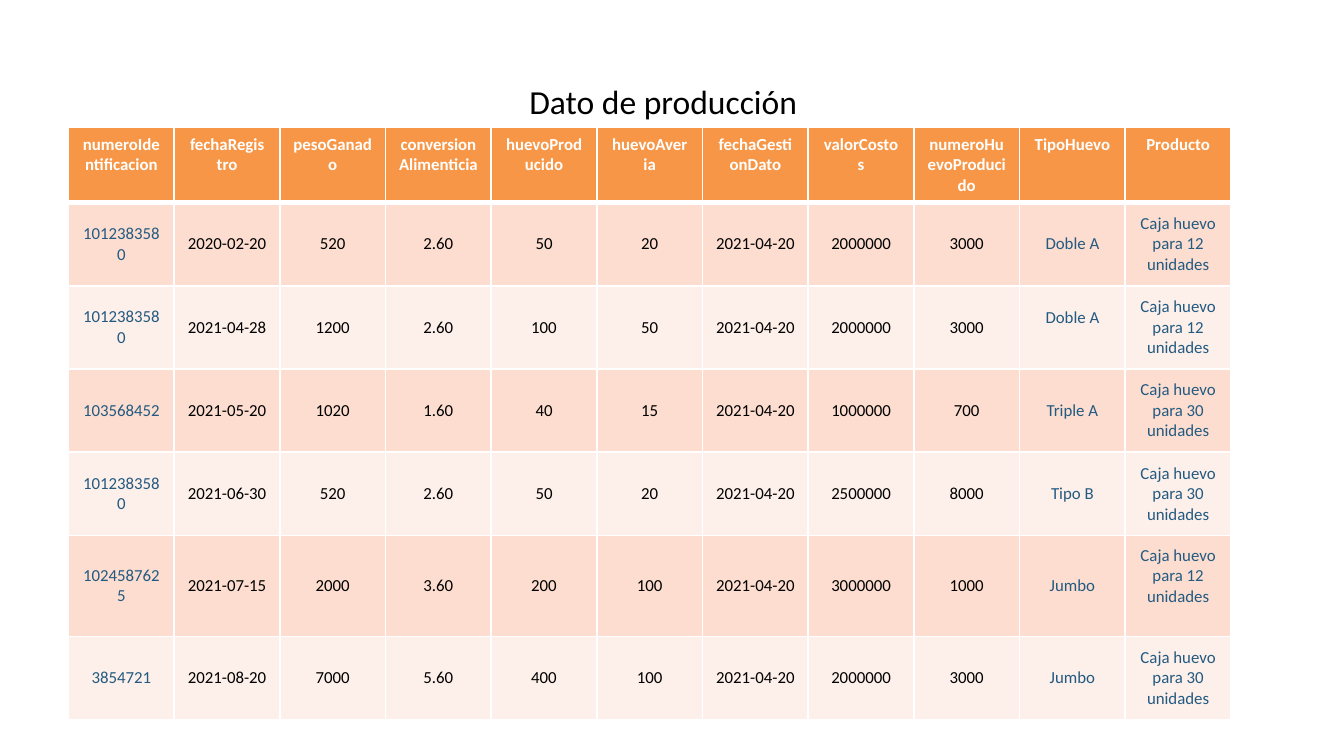
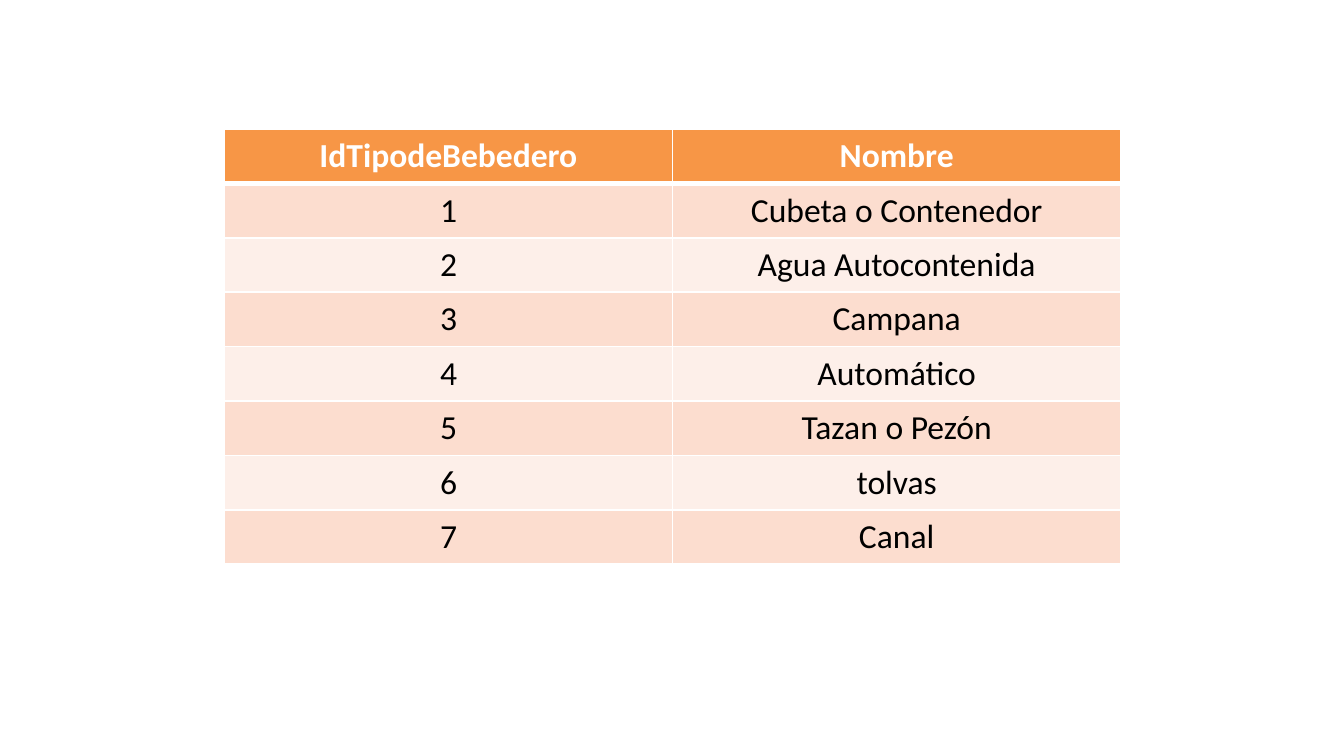
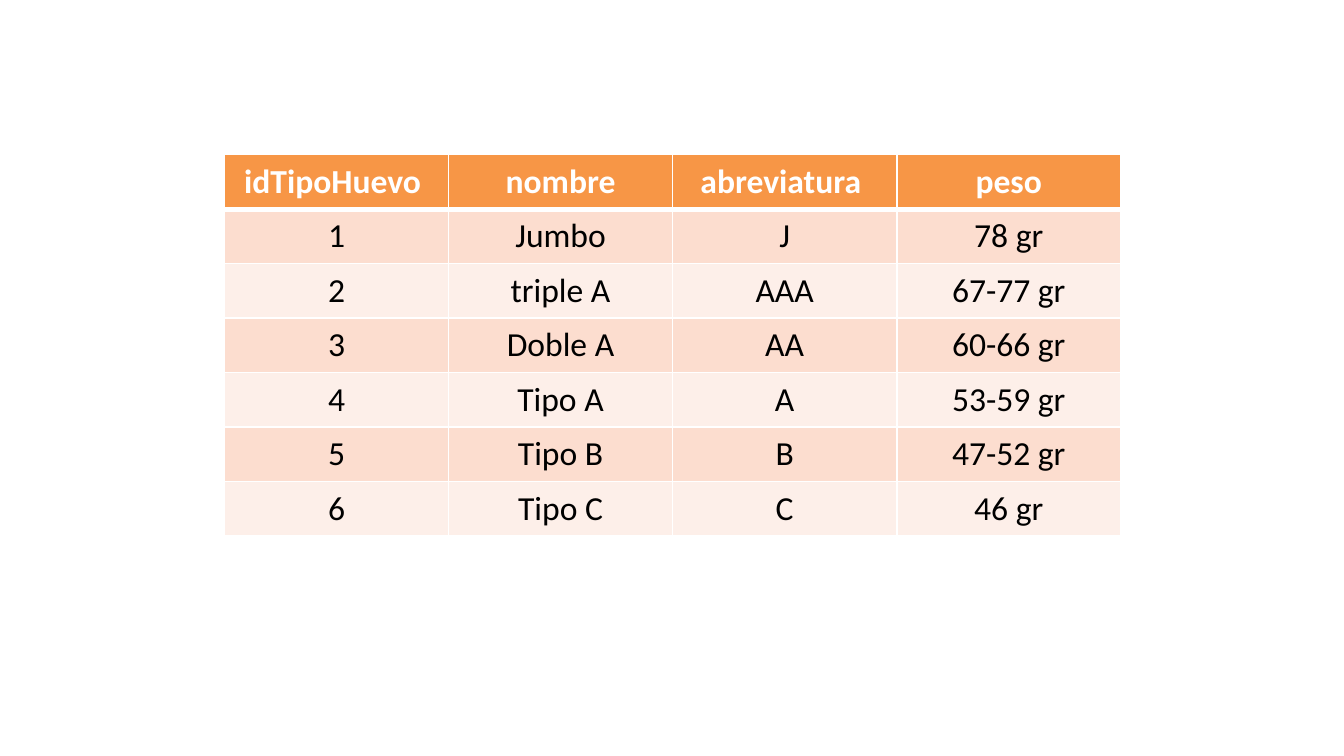
import dataclasses

import lxml.etree
import pptx
import pptx.dml.color
import pptx.enum.text
import pptx.oxml.ns
import pptx.util

Inches = pptx.util.Inches
Pt = pptx.util.Pt


@dataclasses.dataclass(frozen=True)
class Theme:
    font: str = "Calibri"
    large: int = 18
    small: int = 9
    header: str = "F79646"
    bands: tuple = ("FCDDCF", "FDEFE9")
    white: str = "FFFFFF"
    black: str = "000000"
    blue: str = "235A81"
    thin: int = 1
    thick: int = 3


theme = Theme()


def style_text(paragraph, size, color, bold=False):
    paragraph.font.name = theme.font
    paragraph.font.size = Pt(size)
    paragraph.font.bold = bold
    paragraph.font.color.rgb = pptx.dml.color.RGBColor.from_string(color)


def add_records(slide, records, box, size, blue_columns=()):
    grid = slide.shapes.add_table(len(records), len(records[0]), *map(Inches, box)).table
    grid.horz_banding = False
    for r, record in enumerate(records):
        heading = r == 0
        for c, value in enumerate(record):
            cell = grid.cell(r, c)
            properties = cell._tc.get_or_add_tcPr()
            for side in ("lnL", "lnR", "lnT", "lnB"):
                under_heading = (r, side) in ((0, "lnB"), (1, "lnT"))
                width = theme.thick if under_heading else theme.thin
                border = lxml.etree.SubElement(
                    properties, pptx.oxml.ns.qn(f"a:{side}"), w=str(Pt(width)))
                line_fill = lxml.etree.SubElement(border, pptx.oxml.ns.qn("a:solidFill"))
                lxml.etree.SubElement(
                    line_fill, pptx.oxml.ns.qn("a:srgbClr"), val=theme.white)
            cell.fill.solid()
            cell.fill.fore_color.rgb = pptx.dml.color.RGBColor.from_string(
                theme.header if heading else theme.bands[(r - 1) % 2])
            cell.text = value
            paragraph = cell.text_frame.paragraphs[0]
            paragraph.alignment = pptx.enum.text.PP_ALIGN.CENTER
            if heading:
                style_text(paragraph, size, theme.white, True)
            else:
                cell.vertical_anchor = pptx.enum.text.MSO_ANCHOR.MIDDLE
                style_text(paragraph, size, theme.blue if c in blue_columns else theme.black)
    return grid


deck = pptx.Presentation()
deck.slide_width = Inches(10)
deck.slide_height = deck.slide_width * 9 // 16
blank = deck.slide_layouts[6]

production = [
    ("numeroIdentificacion", "fechaRegistro", "pesoGanado", "conversionAlimenticia",
     "huevoProducido", "huevoAveria", "fechaGestionDato", "valorCostos",
     "numeroHuevoProducido", "TipoHuevo", "Producto"),
    ("1012383580", "2020-02-20", "520", "2.60", "50", "20", "2021-04-20",
     "2000000", "3000", "Doble A", "Caja huevo para 12 unidades"),
    ("1012383580", "2021-04-28", "1200", "2.60", "100", "50", "2021-04-20",
     "2000000", "3000", "Doble A", "Caja huevo para 12 unidades"),
    ("103568452", "2021-05-20", "1020", "1.60", "40", "15", "2021-04-20",
     "1000000", "700", "Triple A", "Caja huevo para 30 unidades"),
    ("1012383580", "2021-06-30", "520", "2.60", "50", "20", "2021-04-20",
     "2500000", "8000", "Tipo B", "Caja huevo para 30 unidades"),
    ("1024587625", "2021-07-15", "2000", "3.60", "200", "100", "2021-04-20",
     "3000000", "1000", "Jumbo", "Caja huevo para 12 unidades"),
    ("3854721", "2021-08-20", "7000", "5.60", "400", "100", "2021-04-20",
     "2000000", "3000", "Jumbo", "Caja huevo para 30 unidades"),
]
production_slide = deck.slides.add_slide(blank)
production_grid = add_records(
    production_slide, production, (0.51, 0.95, 8.65, 4.39), theme.small, (0, 9, 10))
for row, height in zip(production_grid.rows, (0.54, 0.62, 0.62, 0.62, 0.62, 0.75, 0.62)):
    row.height = Inches(height)
for raised in ((2, 9), (5, 10)):
    production_grid.cell(*raised).margin_bottom = Inches(0.2)

production_title = production_slide.shapes.add_textbox(
    Inches(3.84), Inches(0.55), Inches(2.65), Inches(0.4)).text_frame
production_title.word_wrap = True
production_title.auto_size = pptx.enum.text.MSO_AUTO_SIZE.SHAPE_TO_FIT_TEXT
production_title.text = "Dato de producción"
style_text(production_title.paragraphs[0], theme.large, theme.black)

drinkers = [
    ("IdTipodeBebedero", "Nombre"),
    ("1", "Cubeta o Contenedor"),
    ("2", "Agua Autocontenida"),
    ("3", "Campana"),
    ("4", "Automático"),
    ("5", "Tazan o Pezón"),
    ("6", "tolvas"),
    ("7", "Canal"),
]
eggs = [
    ("idTipoHuevo ", "nombre", "abreviatura ", "peso"),
    ("1", "Jumbo", "J", "78 gr"),
    ("2", "triple A", "AAA", "67-77 gr"),
    ("3", "Doble A", "AA", "60-66 gr"),
    ("4", "Tipo A", "A", "53-59 gr"),
    ("5", "Tipo B", "B", "47-52 gr"),
    ("6", "Tipo C", "C", "46 gr"),
]
for catalog, top, height in ((drinkers, 0.96, 3.24), (eggs, 1.15, 2.84)):
    add_records(deck.slides.add_slide(blank), catalog, (1.67, top, 6.67, height), theme.large)

deck.save("out.pptx")
